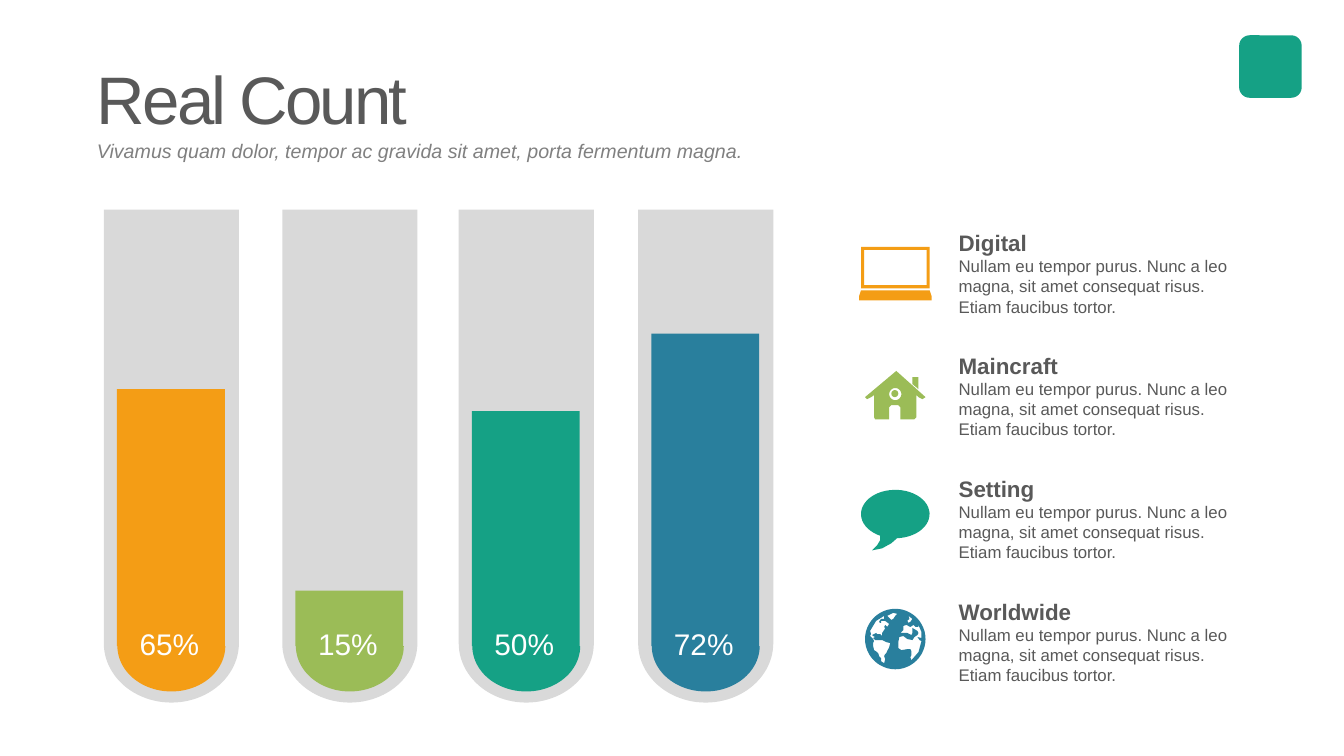
from math import cos, radians, sin

from lxml import etree
from pptx import Presentation
from pptx import util as u
from pptx.dml.color import RGBColor
from pptx.enum import shapes, text
from pptx.oxml import ns

ORANGE, LIME, TEAL, BLUE = "F49D15", "9BBC57", "15A185", "297F9D"
DARK, MUTED, TRACK, WHITE = "595959", "808080", "D9D9D9", "FFFFFF"

# left edge, top of the filling, colour, label
TUBES = [
    (1.03, 3.86, ORANGE, "65%"),
    (2.80, 5.86, LIME, "15%"),
    (4.55, 4.08, TEAL, "50%"),
    (6.33, 3.31, BLUE, "72%"),
]
TUBE_TOP, TUBE_WIDTH, TUBE_BEND = 2.08, 1.34, 6.38
FILL_INSET, FILL_WIDTH, FILL_BEND = 0.13, 1.07, 6.41

ITEMS = ["Digital", "Maincraft", "Setting", "Worldwide"]
DETAIL = ("Nullam eu tempor purus. Nunc a leo magna, sit amet consequat risus. "
          "Etiam faucibus tortor.")
ITEM_TOP, ITEM_STEP = 2.09, 1.22

LAPTOP_BASE = [(9.22, 2.88), (8.54, 2.88), (8.52, 2.94), (8.52, 2.98),
               (9.24, 2.98), (9.24, 2.94)]
HOUSE = [(8.89, 3.68), (8.58, 3.94), (8.60, 3.96), (8.64, 3.94), (8.67, 3.92),
         (8.67, 4.14), (8.68, 4.16), (8.82, 4.16), (8.82, 4.04), (8.84, 4.02),
         (8.91, 4.02), (8.93, 4.04), (8.93, 4.16), (9.07, 4.16), (9.09, 4.14),
         (9.09, 3.92), (9.11, 3.94), (9.15, 3.96), (9.18, 3.94)]
CHIMNEY = [(9.11, 3.86), (9.11, 3.74), (9.05, 3.74), (9.05, 3.81)]
BUBBLE_TAIL = [(8.84, 5.39), (8.75, 5.44), (8.65, 5.46), (8.70, 5.41), (8.73, 5.36)]
AMERICAS = [
    (8.82, 6.42), (8.80, 6.46), (8.79, 6.48), (8.78, 6.49), (8.77, 6.51),
    (8.78, 6.54), (8.77, 6.58), (8.74, 6.56), (8.74, 6.53), (8.72, 6.51),
    (8.71, 6.48), (8.70, 6.47), (8.67, 6.45), (8.66, 6.41), (8.66, 6.38),
    (8.67, 6.36), (8.66, 6.34), (8.65, 6.33), (8.63, 6.31), (8.64, 6.29),
    (8.63, 6.26), (8.69, 6.16), (8.77, 6.11), (8.77, 6.14), (8.74, 6.14),
    (8.73, 6.15), (8.72, 6.17), (8.73, 6.18), (8.74, 6.18), (8.74, 6.16),
    (8.78, 6.16), (8.82, 6.19), (8.80, 6.22), (8.79, 6.21), (8.78, 6.20),
    (8.77, 6.22), (8.78, 6.23), (8.77, 6.25), (8.75, 6.28), (8.75, 6.31),
    (8.73, 6.29), (8.70, 6.29), (8.69, 6.28), (8.65, 6.30), (8.66, 6.31),
    (8.68, 6.32), (8.66, 6.33), (8.68, 6.35), (8.72, 6.35), (8.75, 6.35),
    (8.79, 6.37), (8.83, 6.38)]
AFRICA_AND_EUROPE = [
    (9.12, 6.35), (9.14, 6.36), (9.11, 6.47), (9.04, 6.55), (9.03, 6.52),
    (9.04, 6.50), (9.04, 6.46), (9.03, 6.44), (9.00, 6.44), (8.94, 6.45),
    (8.91, 6.43), (8.91, 6.37), (8.92, 6.32), (8.96, 6.31), (9.00, 6.34),
    (9.05, 6.35), (9.07, 6.32), (9.10, 6.30), (9.11, 6.28), (9.10, 6.26),
    (9.05, 6.23), (9.05, 6.28), (9.04, 6.30), (9.00, 6.28), (8.98, 6.28),
    (8.93, 6.28), (8.96, 6.25), (8.96, 6.21), (8.99, 6.20), (9.03, 6.22),
    (9.06, 6.20), (9.08, 6.22), (9.11, 6.22), (9.11, 6.20), (9.14, 6.27),
    (9.14, 6.33), (9.10, 6.32)]
GREENLAND = [(8.88, 6.11), (8.86, 6.14), (8.84, 6.15), (8.80, 6.11),
             (8.82, 6.10), (8.86, 6.08), (8.90, 6.09)]
SCANDINAVIA = [(9.00, 6.16), (9.02, 6.14), (9.01, 6.11), (9.05, 6.14),
               (9.03, 6.17), (9.01, 6.18)]


def color(hex_text):
    return RGBColor.from_string(hex_text)


def rectangle(left, top, right, bottom):
    return [(left, top), (right, top), (right, bottom), (left, bottom)]


def arc(x, y, width_radius, height_radius, start=0, end=360):
    """Points along an ellipse, clockwise in degrees from the right-hand side."""
    steps = 48
    angles = [radians(start + (end - start) * i / steps) for i in range(steps + 1)]
    return [(x + width_radius * cos(a), y + height_radius * sin(a)) for a in angles]


class Builder:
    def __init__(self, page, font="Arial"):
        self.page = page
        self.font = font

    def paint(self, shape, fill):
        shape.shadow.inherit = False
        shape.fill.solid()
        shape.fill.fore_color.rgb = color(fill)
        shape.line.fill.background()

    def preset(self, kind, left, top, width, height, fill):
        shape = self.page.shapes.add_shape(kind, *map(u.Inches, (left, top, width, height)))
        self.paint(shape, fill)

    def outline(self, fill, *contours):
        """Draw closed contours as one shape; inner contours become holes."""
        scaled = [[(u.Inches(x), u.Inches(y)) for x, y in points] for points in contours]
        builder = self.page.shapes.build_freeform(*scaled[0][0])
        for index, points in enumerate(scaled):
            if index:
                builder.move_to(*points[0])
            builder.add_line_segments(points[1:], close=True)
        self.paint(builder.convert_to_shape(), fill)

    def style(self, para, size, ink, bold=False, italic=False, align=text.PP_ALIGN.LEFT):
        para.alignment = align
        font = para.font
        font.name, font.size, font.bold, font.italic = self.font, u.Pt(size), bold, italic
        font.color.rgb = color(ink)

    def text_box(self, left, top, width, height):
        box = self.page.shapes.add_textbox(*map(u.Inches, (left, top, width, height)))
        box.text_frame.word_wrap = True
        return box.text_frame

    def placeholder(self, box, left, top, width, height, words, anchor, wrap=True):
        box.left, box.top, box.width, box.height = map(u.Inches, (left, top, width, height))
        frame = box.text_frame
        frame.margin_left = frame.margin_right = u.Inches(0.07)
        frame.margin_top = frame.margin_bottom = u.Inches(0.03)
        frame.auto_size = text.MSO_AUTO_SIZE.NONE
        frame.word_wrap = wrap
        frame.vertical_anchor = anchor
        frame.text = words
        return frame.paragraphs[0]

    def headings(self):
        title, body = self.page.placeholders
        para = self.placeholder(title, 0.89, 0.54, 3.38, 0.88, "Real Count",
                                text.MSO_ANCHOR.TOP, wrap=False)
        para.runs[0]._r.get_or_add_rPr().set("spc", "-200")
        self.style(para, 48, DARK)

        para = self.placeholder(
            body, 0.89, 1.34, 7, 0.3,
            "Vivamus quam dolor, tempor ac gravida sit amet, porta fermentum magna.",
            text.MSO_ANCHOR.MIDDLE)
        props = para._p.get_or_add_pPr()
        props.set("marL", "0")
        props.set("indent", "0")
        etree.SubElement(props, ns.qn("a:buNone"))
        para.space_before = u.Pt(0)
        self.style(para, 14, MUTED, italic=True)

    def tube(self, left, level, fill, label):
        radius, fill_radius = TUBE_WIDTH / 2, FILL_WIDTH / 2
        middle = left + radius
        self.outline(TRACK, [(left, TUBE_TOP), (left + TUBE_WIDTH, TUBE_TOP)]
                     + arc(middle, TUBE_BEND, radius, 0.59, 0, 180))
        self.outline(fill, arc(middle, FILL_BEND, fill_radius, 0.45, 0, 180))
        self.preset(shapes.MSO_SHAPE.RECTANGLE, left + FILL_INSET, level,
                    FILL_WIDTH, FILL_BEND - level, fill)
        para = self.text_box(left + FILL_INSET, 6.16, 1.04, 0.46).paragraphs[0]
        para.text = label
        self.style(para, 21.3, WHITE, align=text.PP_ALIGN.CENTER)

    def item(self, top, heading):
        frame = self.text_box(9.41, top, 2.97, 1.11)
        para = frame.paragraphs[0]
        para.text = heading
        para.line_spacing = 1.5
        self.style(para, 16, DARK, bold=True)
        para = frame.add_paragraph()
        para.text = DETAIL
        self.style(para, 12, DARK)

    def icons(self):
        self.outline(ORANGE, rectangle(8.54, 2.45, 9.22, 2.86),
                     rectangle(8.57, 2.48, 9.19, 2.83))
        self.outline(ORANGE, LAPTOP_BASE)
        self.outline(LIME, HOUSE, arc(8.88, 3.91, 0.06, 0.06))
        self.outline(LIME, CHIMNEY)
        self.preset(shapes.MSO_SHAPE.OVAL, 8.84, 3.87, 0.07, 0.07, LIME)
        self.outline(TEAL, arc(8.88, 5.1, 0.34, 0.24, 116, 447) + BUBBLE_TAIL)
        self.outline(BLUE, arc(8.88, 6.34, 0.3, 0.3), AMERICAS, AFRICA_AND_EUROPE,
                     GREENLAND, SCANDINAVIA)


def main():
    deck = Presentation()
    deck.slide_width, deck.slide_height = u.Inches(13.33), u.Inches(7.5)
    builder = Builder(deck.slides.add_slide(deck.slide_layouts[1]))
    builder.preset(shapes.MSO_SHAPE.ROUNDED_RECTANGLE, 12.29, 0.35, 0.62, 0.62, TEAL)
    builder.headings()
    for tube in TUBES:
        builder.tube(*tube)
    for row, heading in enumerate(ITEMS):
        builder.item(ITEM_TOP + row * ITEM_STEP, heading)
    builder.icons()
    deck.save("out.pptx")


if __name__ == "__main__":
    main()
